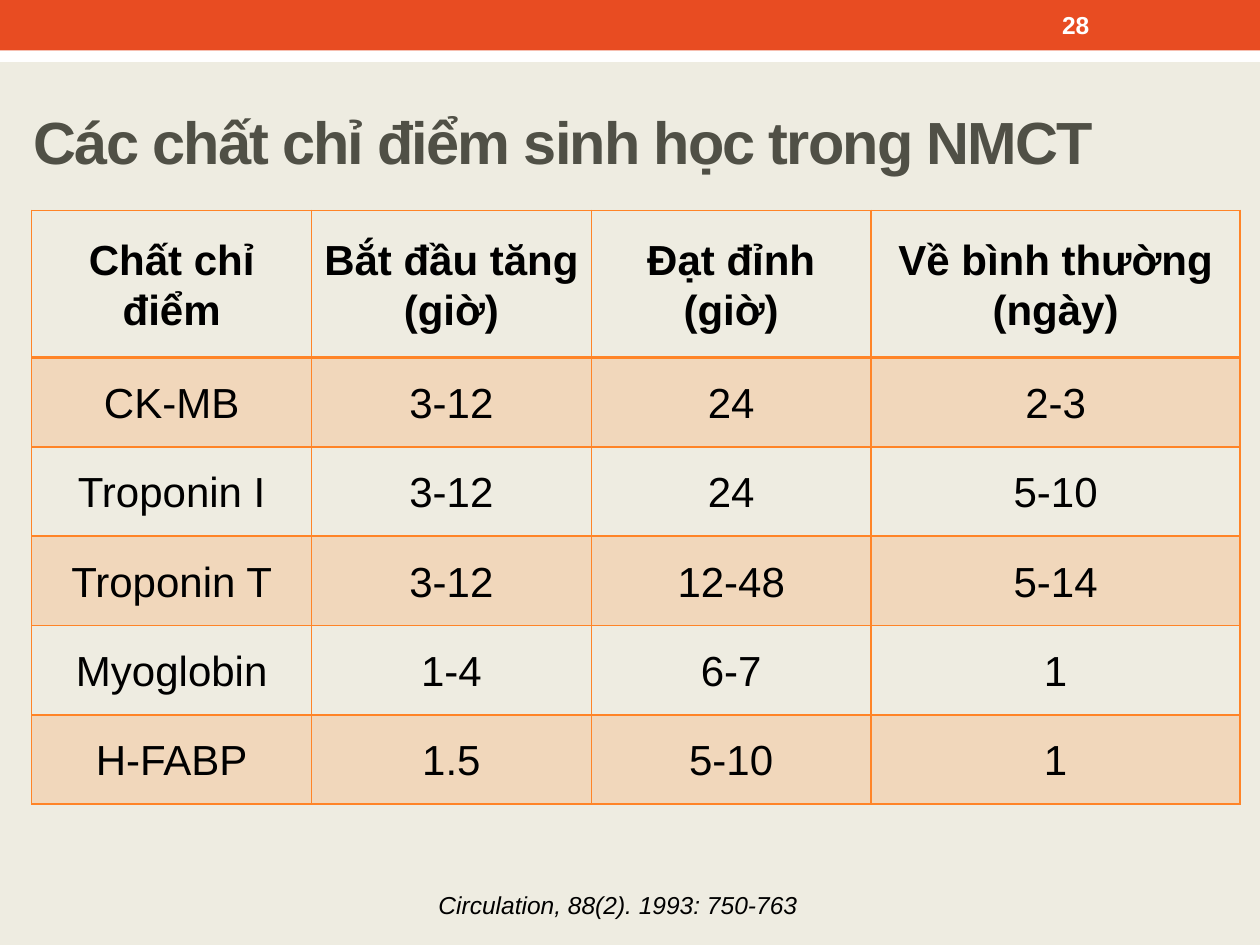
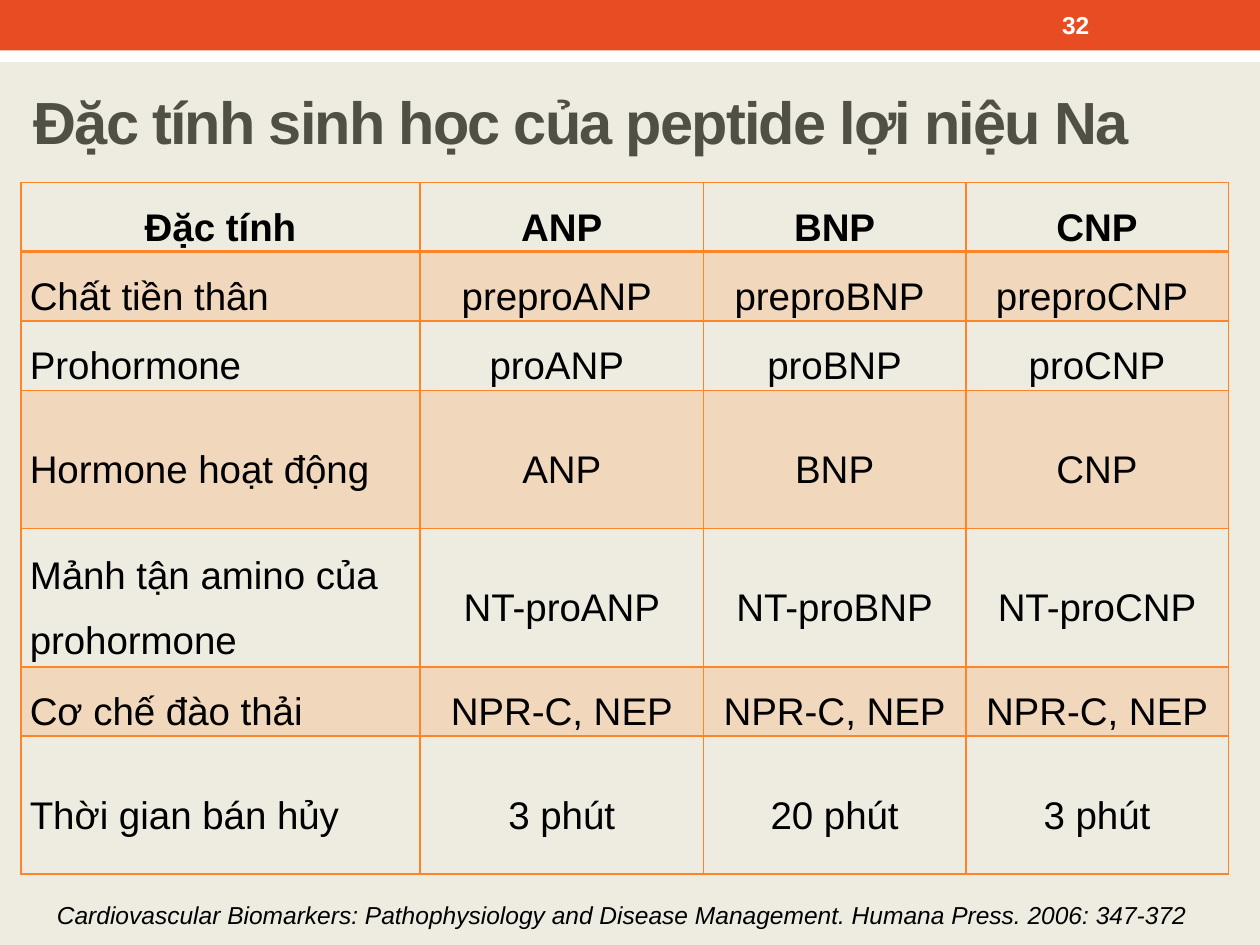
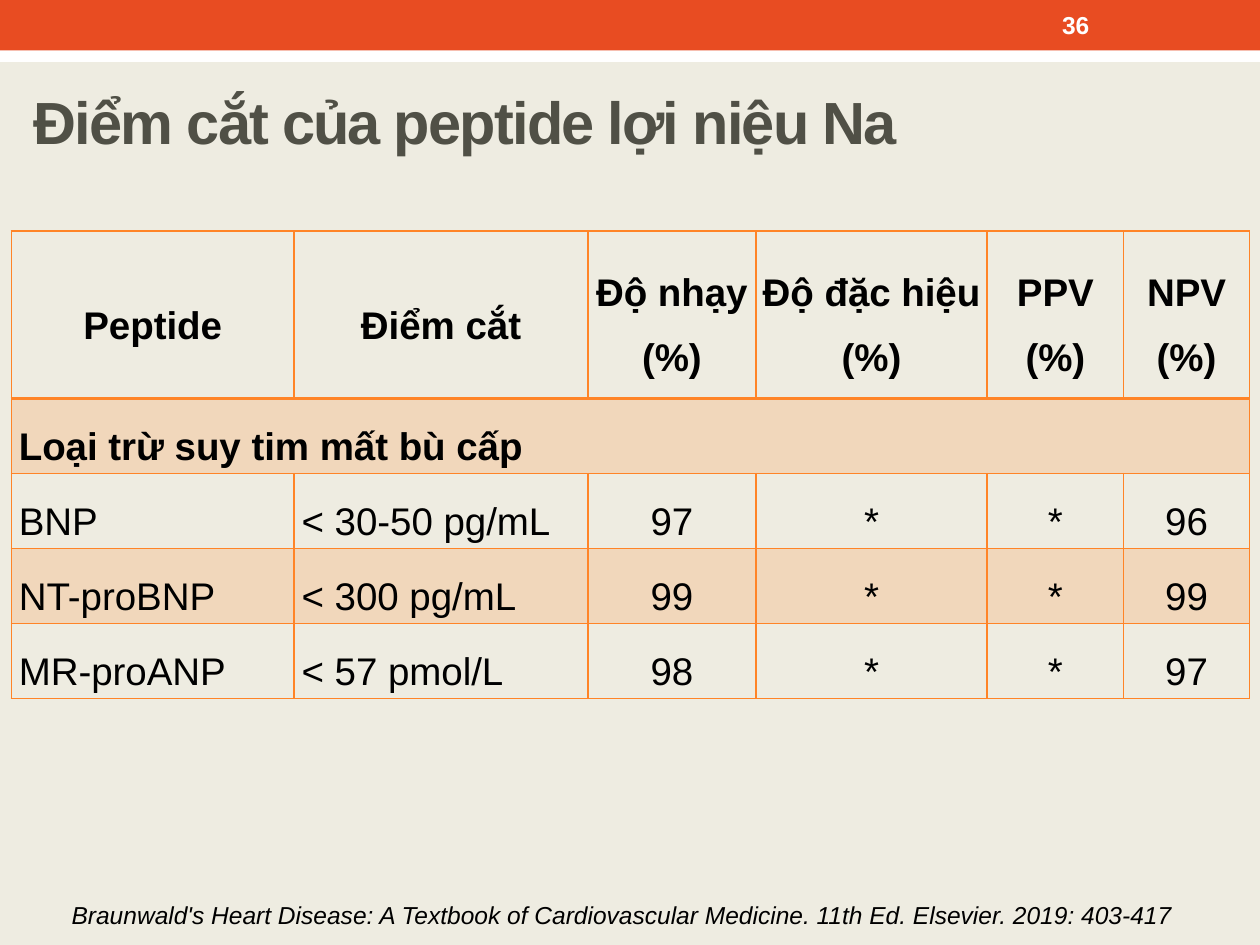
"""Build three slides of tables on cardiac biomarkers and natriuretic peptides."""
from dataclasses import dataclass

from lxml.etree import SubElement
from pptx import Presentation
from pptx.dml.color import RGBColor
from pptx.enum.shapes import MSO_SHAPE
from pptx.enum.text import MSO_ANCHOR, MSO_AUTO_SIZE, PP_ALIGN
from pptx.oxml.ns import qn
from pptx.util import Cm, Pt


@dataclass(frozen=True)
class Theme:
    font: str = "Arial"
    paper: str = "EEECE1"
    band: str = "E84C22"
    white: str = "FFFFFF"
    heading: str = "505046"
    ink: str = "000000"
    grid: str = "FF8427"
    stripe_alpha: int = 20000
    heading_size: int = 34
    small_size: int = 14
    grid_width: int = 1
    header_rule_width: int = 2


theme = Theme()


def write(frame, text, size, color, bold=False, italic=False,
          align=PP_ALIGN.LEFT, spacing=None):
    """Fill a text frame with one paragraph per line of text."""
    frame.word_wrap = True
    frame.text = text
    for paragraph in frame.paragraphs:
        paragraph.alignment = align
        paragraph.line_spacing = spacing
        font = paragraph.font
        font.name, font.size = theme.font, Pt(size)
        font.bold, font.italic = bold, italic
        font.color.rgb = RGBColor.from_string(color)


def rule_cell(cell, bottom_width):
    """Draw the four borders of a table cell."""
    properties = cell._tc.get_or_add_tcPr()
    for side in ("lnL", "lnR", "lnT", "lnB"):
        width = bottom_width if side == "lnB" else theme.grid_width
        line = SubElement(properties, qn(f"a:{side}"), w=str(Pt(width)))
        SubElement(SubElement(line, qn("a:solidFill")), qn("a:srgbClr"), val=theme.grid)


pages = [
    dict(
        number="28",
        heading="Các chất chỉ điểm sinh học trong NMCT",
        heading_box=(0.43, 1.47, 22.76, 2.74),
        corner=(0.64, 4.24),
        widths=[5.64, 5.64, 5.64, 7.44],
        heights=[2.97] + [1.8] * 5,
        size=24, spacing=1.07, padding=0.18, tight_columns=(),
        lead_columns=0, lead_align=PP_ALIGN.CENTER,
        rows=[
            ["Chất chỉ điểm", "Bắt đầu tăng\n(giờ)", "Đạt đỉnh\n(giờ)", "Về bình thường\n(ngày)"],
            ["CK-MB", "3-12", "24", "2-3"],
            ["Troponin I", "3-12", "24", "5-10"],
            ["Troponin T", "3-12", "12-48", "5-14"],
            ["Myoglobin", "1-4", "6-7", "1"],
            ["H-FABP", "1.5", "5-10", "1"],
        ],
        citation="Circulation, 88(2). 1993: 750-763",
        citation_box=(0.99, 17.78, 22.94, 0.84),
    ),
    dict(
        number="32",
        heading="Đặc tính sinh học của peptide lợi niệu Na",
        heading_box=(0.43, 1.07, 23.7, 2.74),
        corner=(0.42, 3.68),
        widths=[8.05, 5.71, 5.29, 5.29],
        heights=[1.34, 1.34, 1.34, 2.78, 2.78, 1.34, 2.78],
        size=22, spacing=1.5, padding=0.18, tight_columns=(),
        lead_columns=1, lead_align=PP_ALIGN.LEFT,
        rows=[
            ["Đặc tính", "ANP", "BNP", "CNP"],
            ["Chất tiền thân", "preproANP ", "preproBNP ", "preproCNP "],
            ["Prohormone", "proANP ", "proBNP", "proCNP"],
            ["Hormone hoạt động", "ANP", "BNP", "CNP"],
            ["Mảnh tận amino của prohormone", "NT-proANP", "NT-proBNP", "NT-proCNP"],
            ["Cơ chế đào thải"] + ["NPR-C, NEP"] * 3,
            ["Thời gian bán hủy", "3 phút", "20 phút", "3 phút"],
        ],
        citation="Cardiovascular Biomarkers: Pathophysiology and Disease Management. "
                 "Humana Press. 2006: 347-372",
        citation_box=(0.76, 17.98, 23.57, 0.89),
    ),
    dict(
        number="36",
        heading="Điểm cắt của peptide lợi niệu Na",
        heading_box=(0.43, 1.07, 23.7, 2.74),
        corner=(0.23, 4.66),
        widths=[5.7, 5.92, 3.39, 4.66, 2.75, 2.54],
        heights=[3.38] + [1.51] * 4,
        size=22, spacing=1.5, padding=0.15, tight_columns=(2, 3),
        lead_columns=2, lead_align=PP_ALIGN.JUSTIFY,
        rows=[
            ["Peptide", "Điểm cắt", "Độ nhạy\n(%)", "Độ đặc hiệu (%)", "PPV\n(%)", "NPV\n(%)"],
            ["Loại trừ suy tim mất bù cấp"],
            ["BNP", "< 30-50 pg/mL", "97", "*", "*", "96"],
            ["NT-proBNP", "< 300 pg/mL", "99", "*", "*", "99"],
            ["MR-proANP", "< 57 pmol/L", "98", "*", "*", "97"],
        ],
        citation="Braunwald's Heart Disease: A Textbook of Cardiovascular Medicine. "
                 "11th Ed. Elsevier. 2019: 403-417",
        citation_box=(0.76, 17.98, 23.57, 0.89),
    ),
]

deck = Presentation()
deck.slide_width, deck.slide_height = Cm(25.4), Cm(19.05)
paper = deck.slide_master.background.fill
paper.solid()
paper.fore_color.rgb = RGBColor.from_string(theme.paper)

for page in pages:
    slide = deck.slides.add_slide(deck.slide_layouts[6])

    for top, height, color in ((0.61, 0.64, theme.white), (0, 1.02, theme.band)):
        band = slide.shapes.add_shape(
            MSO_SHAPE.RECTANGLE, 0, Cm(top), deck.slide_width, Cm(height))
        band.shadow.inherit = False
        band.fill.solid()
        band.fill.fore_color.rgb = RGBColor.from_string(color)
        band.line.fill.background()

    number = slide.shapes.add_textbox(Cm(21.16), Cm(0.05), Cm(2.97), Cm(0.91)).text_frame
    number.vertical_anchor = MSO_ANCHOR.MIDDLE
    write(number, page["number"], theme.small_size, theme.white, bold=True)

    heading = slide.shapes.add_textbox(*map(Cm, page["heading_box"])).text_frame
    heading.vertical_anchor = MSO_ANCHOR.MIDDLE
    write(heading, page["heading"], theme.heading_size, theme.heading, bold=True)
    heading.paragraphs[0].runs[0]._r.get_or_add_rPr().set("spc", "-100")

    rows, widths, heights = page["rows"], page["widths"], page["heights"]
    table = slide.shapes.add_table(
        len(rows), len(widths), *map(Cm, page["corner"]),
        Cm(sum(widths)), Cm(sum(heights))).table
    table.first_row = table.horz_banding = False
    for column, width in zip(table.columns, widths):
        column.width = Cm(width)

    for r, values in enumerate(rows):
        table.rows[r].height = Cm(heights[r])
        is_header = r == 0
        is_section = len(values) == 1
        for c in range(len(widths)):
            cell = table.cell(r, c)
            rule_cell(cell, theme.header_rule_width if is_header else theme.grid_width)
            if r % 2:
                cell.fill.solid()
                cell.fill.fore_color.rgb = RGBColor.from_string(theme.grid)
                tint = cell._tc.tcPr.find(qn("a:solidFill")).find(qn("a:srgbClr"))
                SubElement(tint, qn("a:alpha"), val=str(theme.stripe_alpha))
            else:
                cell.fill.background()
            cell.vertical_anchor = MSO_ANCHOR.MIDDLE
            is_tight = is_header and c in page["tight_columns"]
            cell.margin_left = cell.margin_right = Cm(0.05 if is_tight else page["padding"])
            cell.margin_top = cell.margin_bottom = 0
        for c, value in enumerate(values):
            is_lead = not is_header and c < page["lead_columns"]
            write(table.cell(r, c).text_frame, value, page["size"], theme.ink,
                  bold=is_header or is_section,
                  align=page["lead_align"] if is_lead else PP_ALIGN.CENTER,
                  spacing=page["spacing"])
        if is_section:
            table.cell(r, 0).merge(table.cell(r, len(widths) - 1))

    citation = slide.shapes.add_textbox(*map(Cm, page["citation_box"])).text_frame
    citation.auto_size = MSO_AUTO_SIZE.SHAPE_TO_FIT_TEXT
    write(citation, page["citation"], theme.small_size, theme.ink, italic=True,
          align=PP_ALIGN.CENTER, spacing=1.07)

deck.save("out.pptx")
